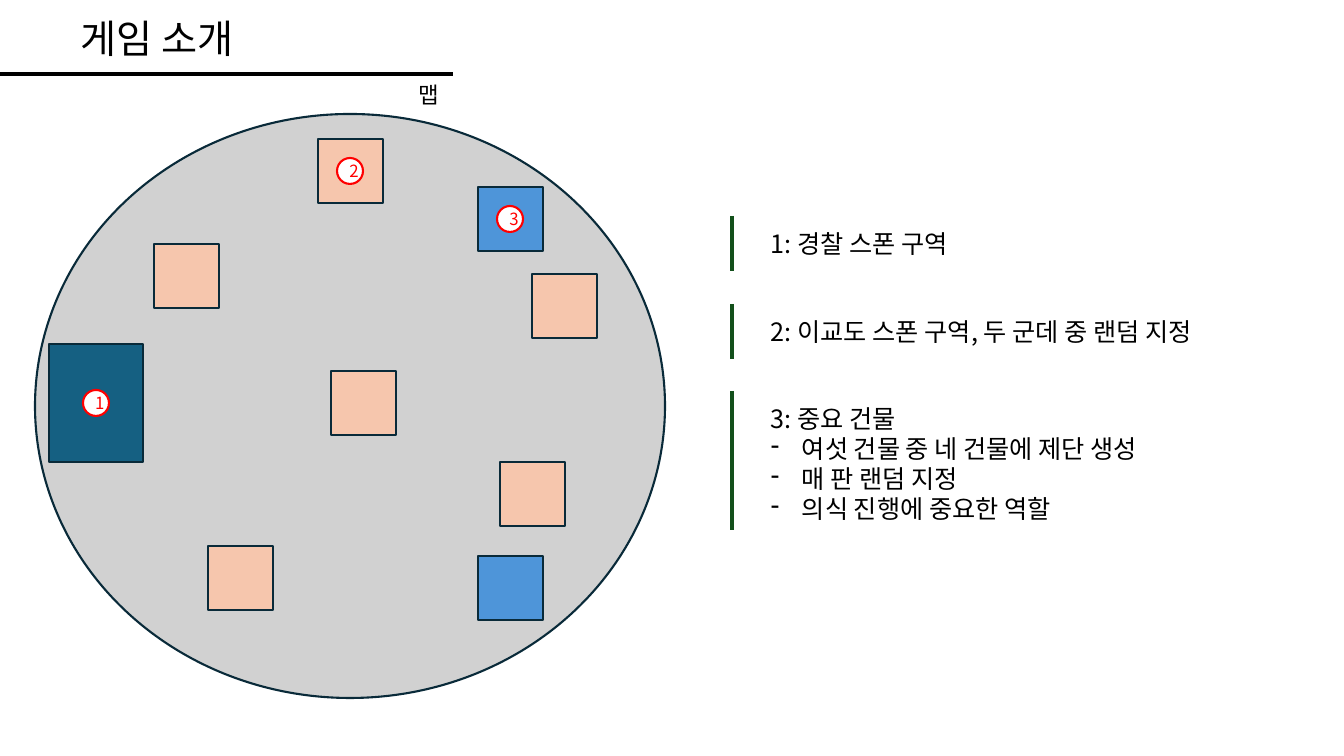
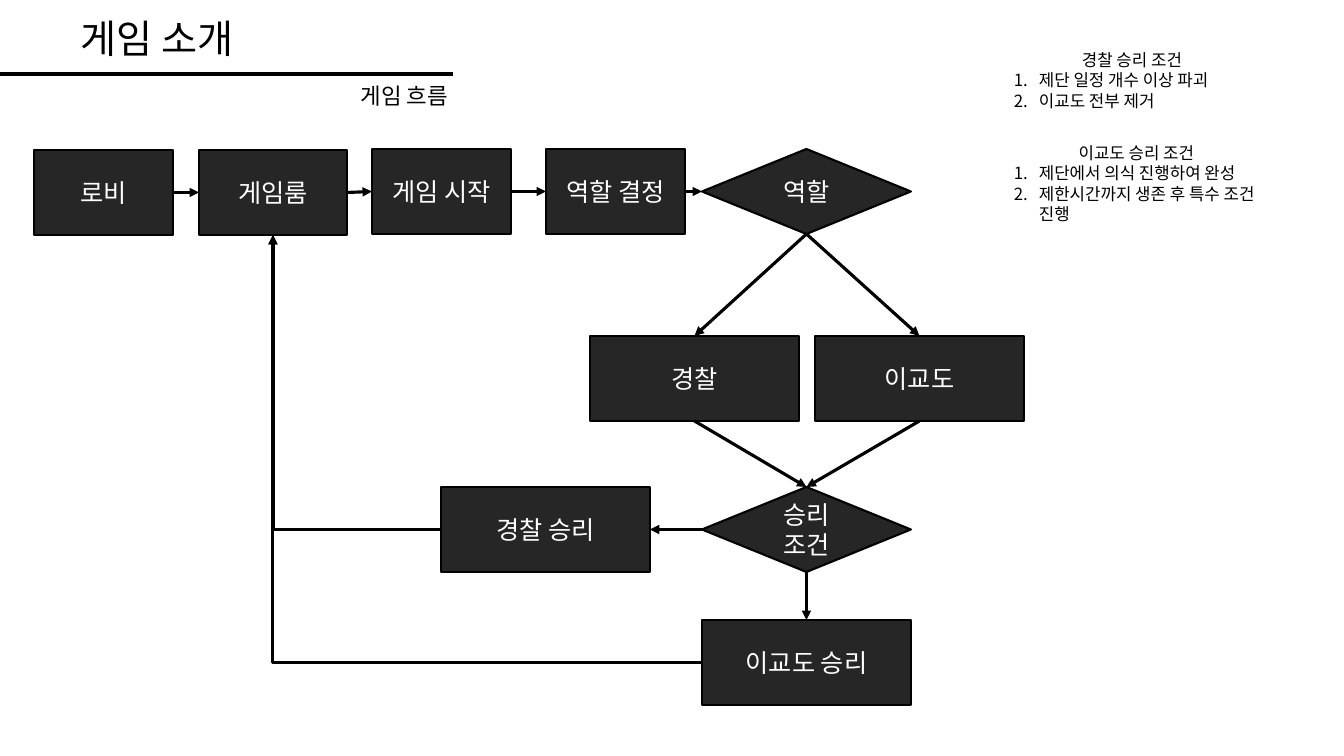
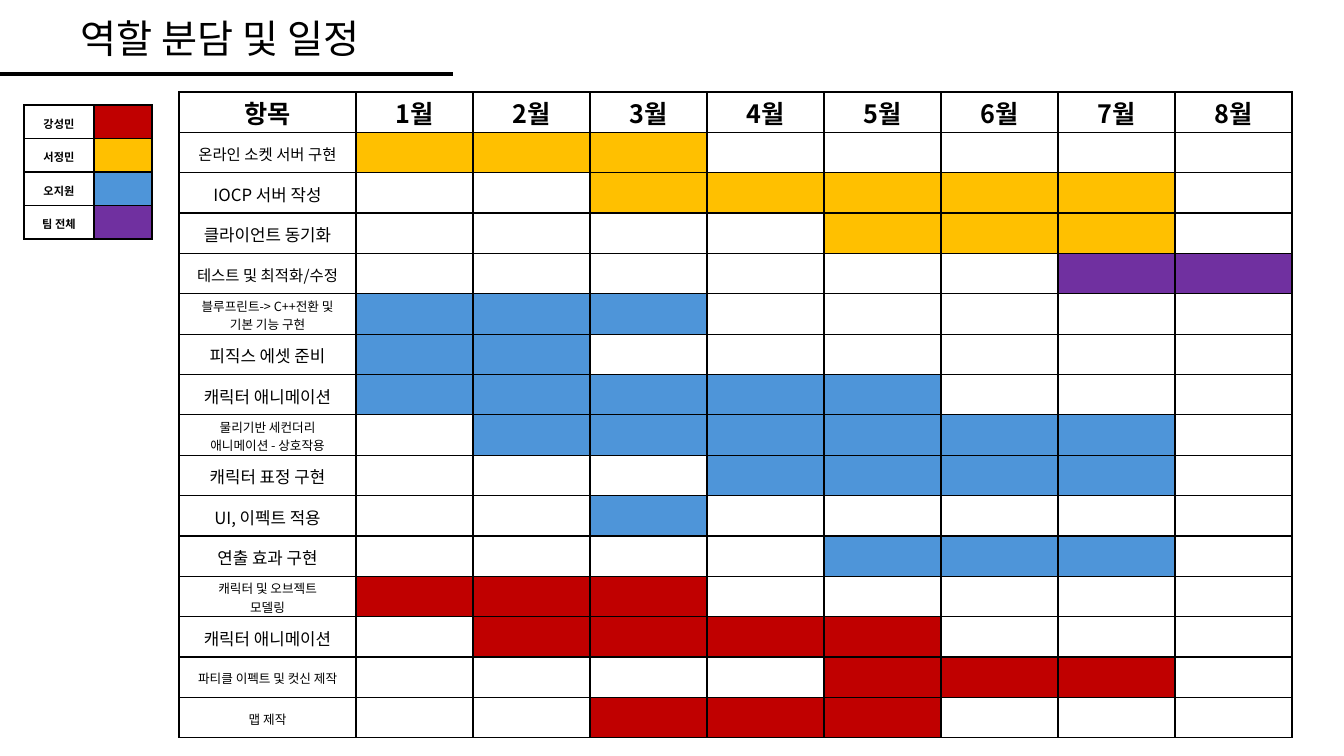
import lxml.etree
import pptx
import pptx.dml.color
import pptx.enum.shapes
import pptx.enum.text
import pptx.oxml.ns
import pptx.util

EMU_PER_PX = 914400 / 100.8
COLORS = {
    "black": "000000", "white": "FFFFFF", "red": "FF0000", "green": "13501B",
    "ground": "D1D1D1", "outline": "092A39", "police": "156082", "peach": "F6C6AD",
    "charcoal": "262626", "crimson": "C00000", "amber": "FFC000",
    "blue": "4E95D9", "purple": "7030A0",
}
RGB = {name: pptx.dml.color.RGBColor.from_string(value) for name, value in COLORS.items()}
PX = [pptx.util.Emu(round(n * EMU_PER_PX)) for n in range(1345)]
FONT = "Noto Sans CJK KR"
SHAPE = pptx.enum.shapes.MSO_SHAPE
LEFT, CENTER = pptx.enum.text.PP_ALIGN.LEFT, pptx.enum.text.PP_ALIGN.CENTER
TOP, MIDDLE = pptx.enum.text.MSO_ANCHOR.TOP, pptx.enum.text.MSO_ANCHOR.MIDDLE
qn = pptx.oxml.ns.qn
element = lxml.etree.SubElement


def write_text(frame, text, size, color="black", align=LEFT, bold=False, font=FONT, bullet=None):
    """Write one paragraph per line; a bullet applies from the second line on."""
    for index, line in enumerate(text.split("\n")):
        paragraph = frame.paragraphs[0] if index == 0 else frame.add_paragraph()
        paragraph.text = line
        paragraph.alignment = align
        properties = paragraph._p.get_or_add_pPr()
        if bullet and index:
            paragraph.alignment = LEFT
            tag, attribute, value, indent = bullet
            properties.set("marL", str(PX[indent]))
            properties.set("indent", str(-PX[indent]))
            element(properties, qn(tag)).set(attribute, value)
        paragraph.font.size = pptx.util.Pt(size)
        paragraph.font.bold = bold
        paragraph.font.name = font
        paragraph.font.color.rgb = RGB[color]
        element(properties.find(qn("a:defRPr")), qn("a:ea"), typeface=FONT)


def add_box(slide, kind, box, text="", size=18, fill=None, line=None, **text_style):
    """Add a filled shape, or a text box when kind is None."""
    place = [PX[n] for n in box]
    if kind is None:
        shape = slide.shapes.add_textbox(*place)
        shape.text_frame.word_wrap = True
    else:
        shape = slide.shapes.add_shape(kind, *place)
        shape.shadow.inherit = False
        shape.fill.solid()
        shape.fill.fore_color.rgb = RGB[fill]
        shape.line.color.rgb = RGB[line]
        shape.line.width = pptx.util.Pt(1.5)
        shape.text_frame.vertical_anchor = MIDDLE
    if text:
        write_text(shape.text_frame, text, size, **text_style)
    return shape


presentation = pptx.Presentation()
presentation.slide_width = PX[1344]
presentation.slide_height = PX[756]

# Titles and the rule below them
slides = []
rules = []
for title in ("게임 소개", "게임 소개", "역할 분담 및 일정"):
    slide = presentation.slides.add_slide(presentation.slide_layouts[6])
    slides.append(slide)
    add_box(slide, None, (71, 9, 339, 57), title, 28)
    rules.append((slide, 0, 74, 453, 74, "black"))
map_slide, flow_slide, plan_slide = slides

# Map: ground, buildings and their numbers
add_box(map_slide, None, (409, 76, 44, 37), "맵", 16)
add_box(map_slide, SHAPE.OVAL, (35, 114, 630, 584), fill="ground", line="outline")
BUILDING = (65, 64)
MARK = 26
for x, y, (width, height), fill, number in (
    (49, 344, (94, 118), "police", "1"),
    (318, 139, BUILDING, "peach", "2"),
    (500, 462, BUILDING, "peach", ""),
    (208, 546, BUILDING, "peach", ""),
    (532, 274, BUILDING, "peach", ""),
    (154, 244, BUILDING, "peach", ""),
    (331, 371, BUILDING, "peach", ""),
    (478, 556, BUILDING, "blue", ""),
    (478, 187, BUILDING, "blue", "3"),
):
    add_box(map_slide, SHAPE.RECTANGLE, (x, y, width, height), fill=fill, line="outline")
    if number:
        mark = (x + (width - MARK) // 2, y + (height - MARK) // 2, MARK, MARK)
        add_box(map_slide, SHAPE.OVAL, mark, number, 12, fill="white", line="red",
                color="red", align=CENTER)

# Map: explanations beside green bars
dash = ("a:buChar", "char", "-", 31)
for top, bottom, text in (
    (216, 271, "1: 경찰 스폰 구역"),
    (304, 359, "2: 이교도 스폰 구역, 두 군데 중 랜덤 지정"),
    (391, 530, "3: 중요 건물\n여섯 건물 중 네 건물에 제단 생성\n매 판 랜덤 지정\n의식 진행에 중요한 역할"),
):
    rules.append((map_slide, 732, top, 732, bottom, "green"))
    add_box(map_slide, None, (761, top + 7, 504, bottom - top - 7), text, bullet=dash)

for slide, x1, y1, x2, y2, color in rules:
    rule = slide.shapes.add_connector(
        pptx.enum.shapes.MSO_CONNECTOR.STRAIGHT, PX[x1], PX[y1], PX[x2], PX[y2])
    rule.line.color.rgb = RGB[color]
    rule.line.width = pptx.util.Pt(3)
    element(rule._element.spPr, qn("a:effectLst"))

# Flow: winning conditions
add_box(flow_slide, None, (351, 77, 119, 37), "게임 흐름", 16)
numbered = ("a:buAutoNum", "type", "arabicPeriod", 25)
for top, width, height, text in (
    (45, 256, 72, "경찰 승리 조건\n제단 일정 개수 이상 파괴\n이교도 전부 제거"),
    (138, 265, 92, "이교도 승리 조건\n제단에서 의식 진행하여 완성\n제한시간까지 생존 후 특수 조건 진행"),
):
    add_box(flow_slide, None, (1004, top, width, height), text, 12, align=CENTER, bullet=numbered)

# Flow: steps
steps = {}
for name, kind, x, y, width in (
    ("로비", SHAPE.RECTANGLE, 34, 150, 139),
    ("게임룸", SHAPE.RECTANGLE, 199, 150, 148),
    ("게임 시작", SHAPE.RECTANGLE, 372, 149, 139),
    ("역할 결정", SHAPE.RECTANGLE, 546, 149, 139),
    ("역할", SHAPE.DIAMOND, 702, 149, 209),
    ("경찰", SHAPE.RECTANGLE, 590, 336, 209),
    ("이교도", SHAPE.RECTANGLE, 815, 336, 209),
    ("승리 조건", SHAPE.DIAMOND, 702, 487, 209),
    ("경찰 승리", SHAPE.RECTANGLE, 441, 487, 209),
    ("이교도 승리", SHAPE.RECTANGLE, 702, 620, 209),
):
    steps[name] = add_box(flow_slide, kind, (x, y, width, 85), name, fill="charcoal",
                          line="black", color="white", align=CENTER)

# Flow: arrows between sides (0 top, 1 left, 2 bottom, 3 right)
for start, start_side, end, end_side in (
    ("로비", 3, "게임룸", 1),
    ("게임룸", 3, "게임 시작", 1),
    ("게임 시작", 3, "역할 결정", 1),
    ("역할 결정", 3, "역할", 1),
    ("역할", 2, "경찰", 0),
    ("역할", 2, "이교도", 0),
    ("경찰", 2, "승리 조건", 0),
    ("이교도", 2, "승리 조건", 0),
    ("승리 조건", 1, "경찰 승리", 3),
    ("승리 조건", 2, "이교도 승리", 0),
    ("경찰 승리", 1, "게임룸", 2),
    ("이교도 승리", 1, "게임룸", 2),
):
    arrow = flow_slide.shapes.add_connector(pptx.enum.shapes.MSO_CONNECTOR.STRAIGHT, 0, 0, 0, 0)
    arrow.begin_connect(steps[start], start_side)
    arrow.end_connect(steps[end], end_side)
    arrow.line.color.rgb = RGB["black"]
    arrow.line.width = pptx.util.Pt(2.25)
    properties = arrow._element.spPr
    if end == "게임룸" and end_side == 2:
        properties.find(qn("a:prstGeom")).set("prst", "bentConnector2")
    element(properties.find(qn("a:ln")), qn("a:tailEnd"), type="triangle")
    element(properties, qn("a:effectLst"))

# Plan: each task with its text size, first and last month, and owner's colour
tasks = (
    ("온라인 소켓 서버 구현", 11, 1, 3, "amber"),
    ("IOCP 서버 작성", 12, 3, 7, "amber"),
    ("클라이언트 동기화", 12, 5, 7, "amber"),
    ("테스트 및 최적화/수정", 11, 7, 8, "purple"),
    ("블루프린트-> C++전환 및 기본 기능 구현", 9, 1, 3, "blue"),
    ("피직스 에셋 준비", 12, 1, 2, "blue"),
    ("캐릭터 애니메이션", 12, 1, 5, "blue"),
    ("물리기반 세컨더리\n애니메이션 - 상호작용", 9, 2, 7, "blue"),
    ("캐릭터 표정 구현", 12, 4, 7, "blue"),
    ("UI, 이펙트 적용", 12, 3, 3, "blue"),
    ("연출 효과 구현", 12, 5, 7, "blue"),
    ("캐릭터 및 오브젝트\n모델링", 9, 1, 3, "crimson"),
    ("캐릭터 애니메이션", 12, 2, 5, "crimson"),
    ("파티클 이펙트 및 컷신 제작", 9, 5, 7, "crimson"),
    ("맵 제작", 9, 3, 5, "crimson"),
)
owners = (("강성민", "crimson"), ("서정민", "amber"), ("오지원", "blue"), ("팀 전체", "purple"))
months = range(1, 9)

# Each cell is text, size, bold, fill
plan_rows = [[(text, 18, True, "white") for text in ["항목"] + [f"{month}월" for month in months]]]
for text, size, first, last, color in tasks:
    plan_rows.append([(text, size, False, "white")] + [
        ("", size, False, color if first <= month <= last else "white") for month in months])
legend_rows = [[(name, 8, True, "white"), ("", 8, True, color)] for name, color in owners]

for rows, place, widths, font, side_margin, top_margin, bottom_margin in (
    (plan_rows, (179, 92, 1113, 646), [177] + [117] * 8, FONT, 10, 2, 0),
    (legend_rows, (24, 105, 128, 134), [70, 58], "Lato", 10, 10, 7),
):
    table = plan_slide.shapes.add_table(len(rows), len(widths), *[PX[n] for n in place]).table
    table.first_row = table.horz_banding = False
    for column, width in zip(table.columns, widths):
        column.width = PX[width]
    for row_index, row in enumerate(rows):
        for column_index, (text, size, bold, fill) in enumerate(row):
            cell = table.cell(row_index, column_index)
            cell.margin_left = cell.margin_right = PX[side_margin]
            cell.margin_top = PX[top_margin]
            cell.margin_bottom = PX[bottom_margin]
            cell.vertical_anchor = MIDDLE if rows is plan_rows and row_index else TOP
            properties = cell._tc.get_or_add_tcPr()
            for side in ("a:lnL", "a:lnR", "a:lnT", "a:lnB"):
                border = element(properties, qn(side), w=str(pptx.util.Pt(1)))
                border_fill = element(border, qn("a:solidFill"))
                element(border_fill, qn("a:srgbClr"), val=COLORS["black"])
            cell.fill.solid()
            cell.fill.fore_color.rgb = RGB[fill]
            if text:
                write_text(cell.text_frame, text, size, align=CENTER, bold=bold, font=font)
            else:
                element(cell.text_frame.paragraphs[0]._p, qn("a:endParaRPr"), sz="800")

presentation.save("out.pptx")
